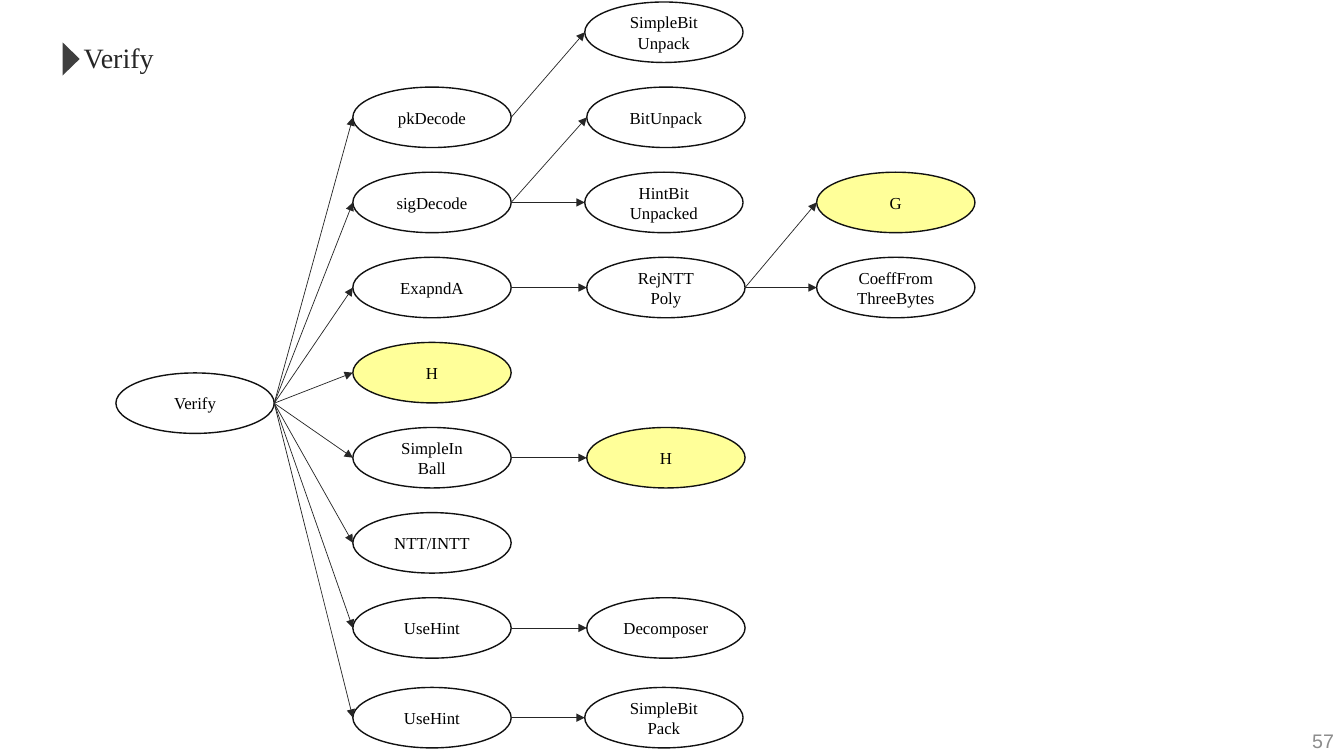
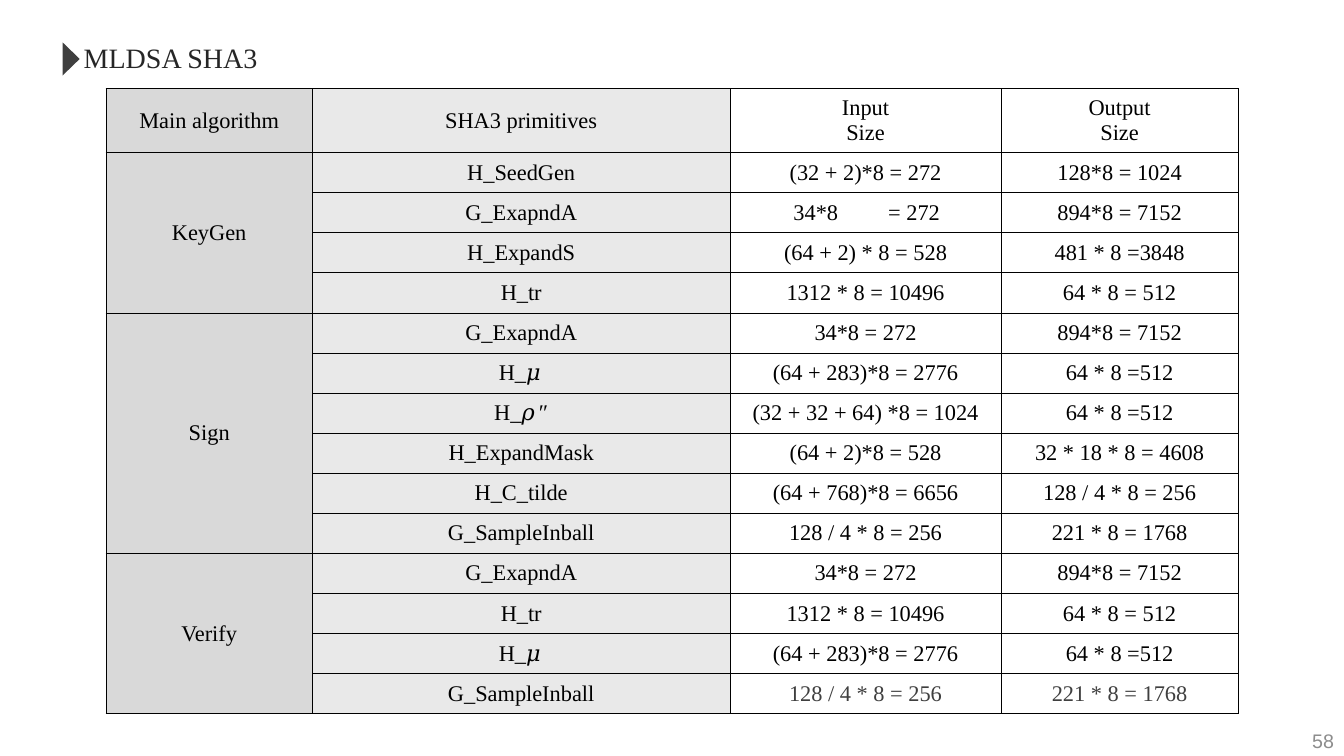
from lxml import etree
from pptx import Presentation
from pptx.dml.color import RGBColor
from pptx.enum.shapes import MSO_CONNECTOR, MSO_SHAPE
from pptx.enum.text import MSO_ANCHOR, MSO_AUTO_SIZE, PP_ALIGN
from pptx.oxml.ns import qn
from pptx.util import Inches, Pt

STRAIGHT = MSO_CONNECTOR.STRAIGHT
OVAL, TRIANGLE = MSO_SHAPE.OVAL, MSO_SHAPE.ISOSCELES_TRIANGLE
TOP, MIDDLE = MSO_ANCHOR.TOP, MSO_ANCHOR.MIDDLE
LEFT, CENTER, RIGHT = PP_ALIGN.LEFT, PP_ALIGN.CENTER, PP_ALIGN.RIGHT
FIT_SHAPE = MSO_AUTO_SIZE.SHAPE_TO_FIT_TEXT

SERIF, SANS = "Times New Roman", "Arial"
BLACK, INK, OUTLINE, MARKER = "000000", "262626", "111111", "3F3F3F"
PAGE_GREY, WHITE, YELLOW = "8C8C8C", "FFFFFF", "FFFF99"
GROUP_FILL, PRIMITIVE_FILL = "D9D9D9", "E9E9E9"

# Call tree: (label, left, row, calls)
NODE_W, NODE_H = 1.57, 0.6
FIRST_TOP, ROW_STEP = 0.02, 5.91 / 7
LAST_ROW = 6.8 / ROW_STEP
ROOT_ROW = 3.68 / ROW_STEP
HASHES = ("G", "H")
CALL_TREE = ("Verify", 1.15, ROOT_ROW, [
    ("pkDecode", 3.5, 1, [("SimpleBit\nUnpack", 5.8, 0, [])]),
    ("sigDecode", 3.5, 2, [("BitUnpack", 5.82, 1, []),
                           ("HintBit\nUnpacked", 5.8, 2, [])]),
    ("ExapndA", 3.5, 3, [
        ("RejNTT\nPoly", 5.82, 3, [("G", 8.1, 2, []),
                                   ("CoeffFrom\nThreeBytes", 8.1, 3, [])])]),
    ("H", 3.5, 4, []),
    ("SimpleIn\nBall", 3.5, 5, [("H", 5.82, 5, [])]),
    ("NTT/INTT", 3.5, 6, []),
    ("UseHint", 3.5, 7, [("Decomposer", 5.82, 7, [])]),
    ("UseHint", 3.5, LAST_ROW, [("SimpleBit\nPack", 5.8, LAST_ROW, [])]),
])

# SHA3 table: (algorithm, [(primitive, input, output)])
HEADER = ("Main algorithm", "SHA3 primitives", "Input\nSize", "Output\nSize")
ALGORITHMS = [
    ("KeyGen", [
        ("H_SeedGen", "(32 + 2)*8 = 272", "128*8 = 1024"),
        ("G_ExapndA", "34*8\t= 272", "894*8 = 7152"),
        ("H_ExpandS", "(64 + 2) * 8 = 528", "481 * 8 =3848"),
        ("H_tr", "1312 * 8 = 10496", "64 * 8 = 512"),
    ]),
    ("Sign", [
        ("G_ExapndA", "34*8 = 272", "894*8 = 7152"),
        ("H_𝜇", "(64 + 283)*8 = 2776", "64 * 8 =512"),
        ("H_𝜌″", "(32 + 32 + 64) *8 = 1024", "64 * 8 =512"),
        ("H_ExpandMask", "(64 + 2)*8 = 528", "32 * 18 * 8 = 4608"),
        ("H_C_tilde", "(64 + 768)*8 = 6656", "128 / 4 * 8 = 256"),
        ("G_SampleInball", "128 / 4 * 8 = 256", "221 * 8 = 1768"),
    ]),
    ("Verify", [
        ("G_ExapndA", "34*8 = 272", "894*8 = 7152"),
        ("H_tr", "1312 * 8 = 10496", "64 * 8 = 512"),
        ("H_𝜇", "(64 + 283)*8 = 2776", "64 * 8 =512"),
        ("G_SampleInball", "128 / 4 * 8 = 256", "221 * 8 = 1768"),
    ]),
]
TABLE_BOX = (1.05, 0.88, 11.23, 6.2)
COL_WIDTHS = (2.05, 4.14, 2.69, 2.35)
COL_FILLS = (GROUP_FILL, PRIMITIVE_FILL, WHITE, WHITE)
HEADER_H = 0.63


def rgb(color):
    return RGBColor.from_string(color)


def box(*lengths):
    return [Inches(n) for n in lengths]


def write(tf, text, size, color, font=SERIF, align=CENTER):
    tf.text = text
    for p in tf.paragraphs:
        p.alignment = align
        p.font.size, p.font.name = Pt(size), font
        p.font.color.rgb = rgb(color)


def add_preset(slide, kind, at, fill=None, line=None):
    sp = slide.shapes.add_shape(kind, *box(*at))
    sp.shadow.inherit = False
    if fill:
        sp.fill.solid()
        sp.fill.fore_color.rgb = rgb(fill)
    else:
        sp.fill.background()
    if line:
        sp.line.color.rgb = rgb(line)
        sp.line.width = Pt(1)
    else:
        sp.line.fill.background()
    return sp


def add_slide(prs, title, title_width, page):
    """Slide with the shared title, marker and page number."""
    slide = prs.slides.add_slide(prs.slide_layouts[5])
    sp = slide.shapes.title
    sp.left, sp.top, sp.width, sp.height = box(0.73, 0.35, title_width, 0.44)
    tf = sp.text_frame
    tf.word_wrap, tf.auto_size, tf.vertical_anchor = False, FIT_SHAPE, TOP
    write(tf, title, 20, INK, align=LEFT)

    add_preset(slide, TRIANGLE, (0.54, 0.5, 0.33, 0.17), MARKER).rotation = 90

    tf = slide.shapes.add_textbox(*box(10.33, 7.15, 3, 0.4)).text_frame
    tf.word_wrap, tf.vertical_anchor = True, MIDDLE
    write(tf, str(page), 14, PAGE_GREY, SANS, RIGHT)
    return slide


def add_arrow(slide, start, end):
    cxn = slide.shapes.add_connector(STRAIGHT, *box(*start, *end))
    cxn.line.color.rgb = rgb(INK)
    cxn.line.width = Pt(0.5)
    etree.SubElement(cxn.line._get_or_add_ln(), qn("a:tailEnd"), type="triangle")
    etree.SubElement(cxn._element.spPr, qn("a:effectLst"))


def add_calls(slide, node):
    """Draw a node and everything it calls; return its left end."""
    label, left, row, calls = node
    top = FIRST_TOP + row * ROW_STEP
    mid = top + NODE_H / 2
    sp = add_preset(slide, OVAL, (left, top, NODE_W, NODE_H),
                    YELLOW if label in HASHES else None, OUTLINE)
    sp.text_frame.vertical_anchor = MIDDLE
    write(sp.text_frame, label, 12, BLACK)
    for call in calls:
        add_arrow(slide, (left + NODE_W, mid), add_calls(slide, call))
    return left, mid


def add_borders(cell):
    tcPr = cell._tc.get_or_add_tcPr()
    for side in ("a:lnL", "a:lnR", "a:lnT", "a:lnB"):
        ln = etree.SubElement(tcPr, qn(side), w=str(Pt(0.5)))
        fill = etree.SubElement(ln, qn("a:solidFill"))
        etree.SubElement(fill, qn("a:srgbClr"), val=BLACK)


def align_at_tab(cell, margin, stop):
    """Left-align a cell whose two parts are set apart by a tab."""
    cell.margin_left = Inches(margin)
    p = cell.text_frame.paragraphs[0]
    p.alignment = LEFT
    tabs = etree.SubElement(p._p.get_or_add_pPr(), qn("a:tabLst"))
    etree.SubElement(tabs, qn("a:tab"), pos=str(Inches(stop)), algn="l")


def add_sha3_table(slide):
    rows = [HEADER]
    spans = []
    for name, primitives in ALGORITHMS:
        spans.append((len(rows), len(rows) + len(primitives) - 1))
        rows += [(name if i == 0 else "", *values)
                 for i, values in enumerate(primitives)]

    table = slide.shapes.add_table(len(rows), len(HEADER), *box(*TABLE_BOX)).table
    table.first_row = table.horz_banding = False
    for col, width in zip(table.columns, COL_WIDTHS):
        col.width = Inches(width)
    row_h = (TABLE_BOX[3] - HEADER_H) / (len(rows) - 1)
    for r, values in enumerate(rows):
        table.rows[r].height = Inches(row_h if r else HEADER_H)
        for c, text in enumerate(values):
            cell = table.cell(r, c)
            add_borders(cell)
            cell.fill.solid()
            cell.fill.fore_color.rgb = rgb(COL_FILLS[c])
            cell.vertical_anchor = MIDDLE
            muted = r == len(rows) - 1 and c >= 2
            write(cell.text_frame, text, 16, MARKER if muted else BLACK)
            if "\t" in text:
                align_at_tab(cell, 0.63, 0.94)
    for first, last in spans:
        table.cell(first, 0).merge(table.cell(last, 0))


def main():
    prs = Presentation()
    prs.slide_width, prs.slide_height = box(13.33, 7.5)
    add_calls(add_slide(prs, "Verify", 0.9, 57), CALL_TREE)
    add_sha3_table(add_slide(prs, "MLDSA SHA3", 1.94, 58))
    prs.save("out.pptx")


if __name__ == "__main__":
    main()
